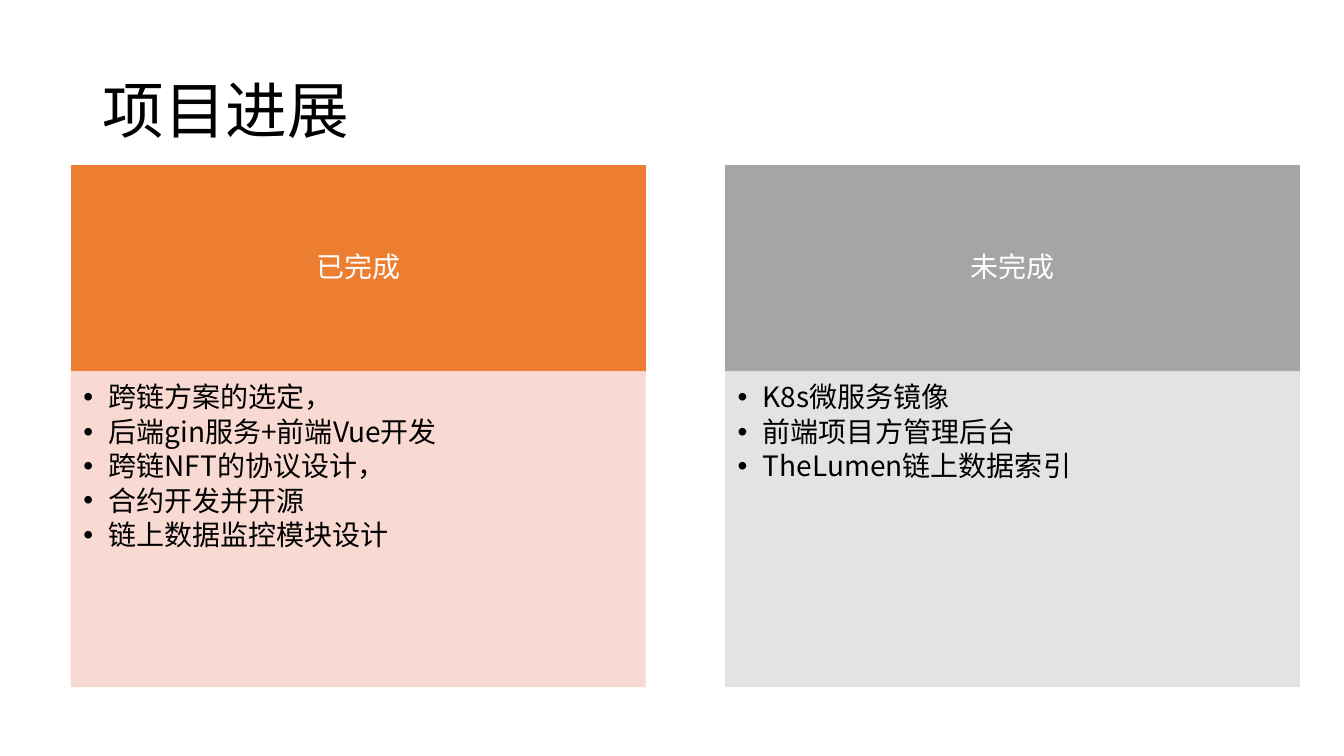
from lxml import etree
from pptx import Presentation
from pptx.dml.color import RGBColor
from pptx.enum.shapes import MSO_SHAPE
from pptx.enum.text import MSO_ANCHOR, PP_ALIGN
from pptx.oxml.ns import qn
from pptx.util import Pt

RECT = MSO_SHAPE.RECTANGLE
TOP, MIDDLE = MSO_ANCHOR.TOP, MSO_ANCHOR.MIDDLE
LEFT, CENTER = PP_ALIGN.LEFT, PP_ALIGN.CENTER

FONT = "Noto Sans CJK SC"
COLORS = {
    "black": "000000",
    "white": "FFFFFF",
    "orange": "ED7D31",
    "peach": "F8D7CE",
    "gray": "A5A5A5",
    "silver": "E1E1E1",
}
DONE = [
    "跨链方案的选定，",
    "后端gin服务+前端Vue开发",
    "跨链NFT的协议设计，",
    "合约开发并开源",
    "链上数据监控模块设计",
]
TODO = ["K8s微服务镜像", "前端项目方管理后台", "TheLumen链上数据索引"]

# Column box and heading height
COL_TOP, COL_W, COL_H = 118, 409.7, 372.4
HEAD_H = 147.5
COLUMNS = [
    (51, "已完成", DONE, "orange", "peach"),
    (518.4, "未完成", TODO, "gray", "silver"),
]


def rgb(name):
    return RGBColor.from_string(COLORS[name])


def bullet(para, indent):
    """Give a paragraph a round bullet with a hanging indent."""
    props = para._p.get_or_add_pPr()
    props.set("marL", str(Pt(indent)))
    props.set("indent", str(-Pt(indent)))
    etree.SubElement(props, qn("a:buFont")).set("typeface", "Arial")
    etree.SubElement(props, qn("a:buChar")).set("char", "•")


def write(shape, lines, size=20, color="black", align=LEFT, anchor=TOP,
          insets=(7.2, 3.6, 7.2, 3.6), indent=0, after=0):
    """Fill a shape with one formatted paragraph per line."""
    frame = shape.text_frame
    frame.word_wrap = True
    frame.vertical_anchor = anchor
    (frame.margin_left, frame.margin_top,
     frame.margin_right, frame.margin_bottom) = map(Pt, insets)
    for i, line in enumerate(lines):
        para = frame.paragraphs[0] if i == 0 else frame.add_paragraph()
        para.alignment = align
        para.line_spacing = 0.9
        para.space_before = Pt(0)
        para.space_after = Pt(after)
        if indent:
            para.level = 1
            bullet(para, indent)
        run = para.add_run()
        run.text = line
        font = run.font
        font.size = Pt(size)
        font.name = FONT
        font.color.rgb = rgb(color)
        east = etree.SubElement(run._r.get_or_add_rPr(), qn("a:ea"))
        east.set("typeface", FONT)


def block(slide, box, color, alpha=100):
    """Add a rectangle whose fill and outline share one colour."""
    shape = slide.shapes.add_shape(RECT, *map(Pt, box))
    shape.shadow.inherit = False
    shape.fill.solid()
    shape.fill.fore_color.rgb = rgb(color)
    shape.line.color.rgb = rgb(color)
    shape.line.width = Pt(1)
    if alpha < 100:
        for tint in shape._element.spPr.iter(qn("a:srgbClr")):
            etree.SubElement(tint, qn("a:alpha")).set("val", str(alpha * 1000))
    return shape


def column(slide, box, head, items, dark, light):
    """Place a heading block above a bulleted list."""
    x, y, w, h = box
    top = block(slide, (x, y, w, HEAD_H), dark)
    write(top, [head], color="white", align=CENTER, anchor=MIDDLE,
          insets=(11.5, 6.5, 11.5, 6.5))
    body = block(slide, (x, y + HEAD_H, w, h - HEAD_H), light, alpha=90)
    write(body, items, insets=(8.5, 8.5, 11.5, 12), indent=18, after=3)


def heading(slide, box, text):
    """Move and format the title placeholder."""
    title = slide.shapes.title
    title.left, title.top, title.width, title.height = map(Pt, box)
    write(title, [text], size=44, anchor=MIDDLE)


def main():
    deck = Presentation()
    deck.slide_width, deck.slide_height = Pt(960), Pt(540)
    slide = deck.slides.add_slide(deck.slide_layouts[5])
    heading(slide, (66, 28.75, 828, 104.4), "项目进展")
    for x, *parts in COLUMNS:
        column(slide, (x, COL_TOP, COL_W, COL_H), *parts)
    deck.save("out.pptx")


if __name__ == "__main__":
    main()
